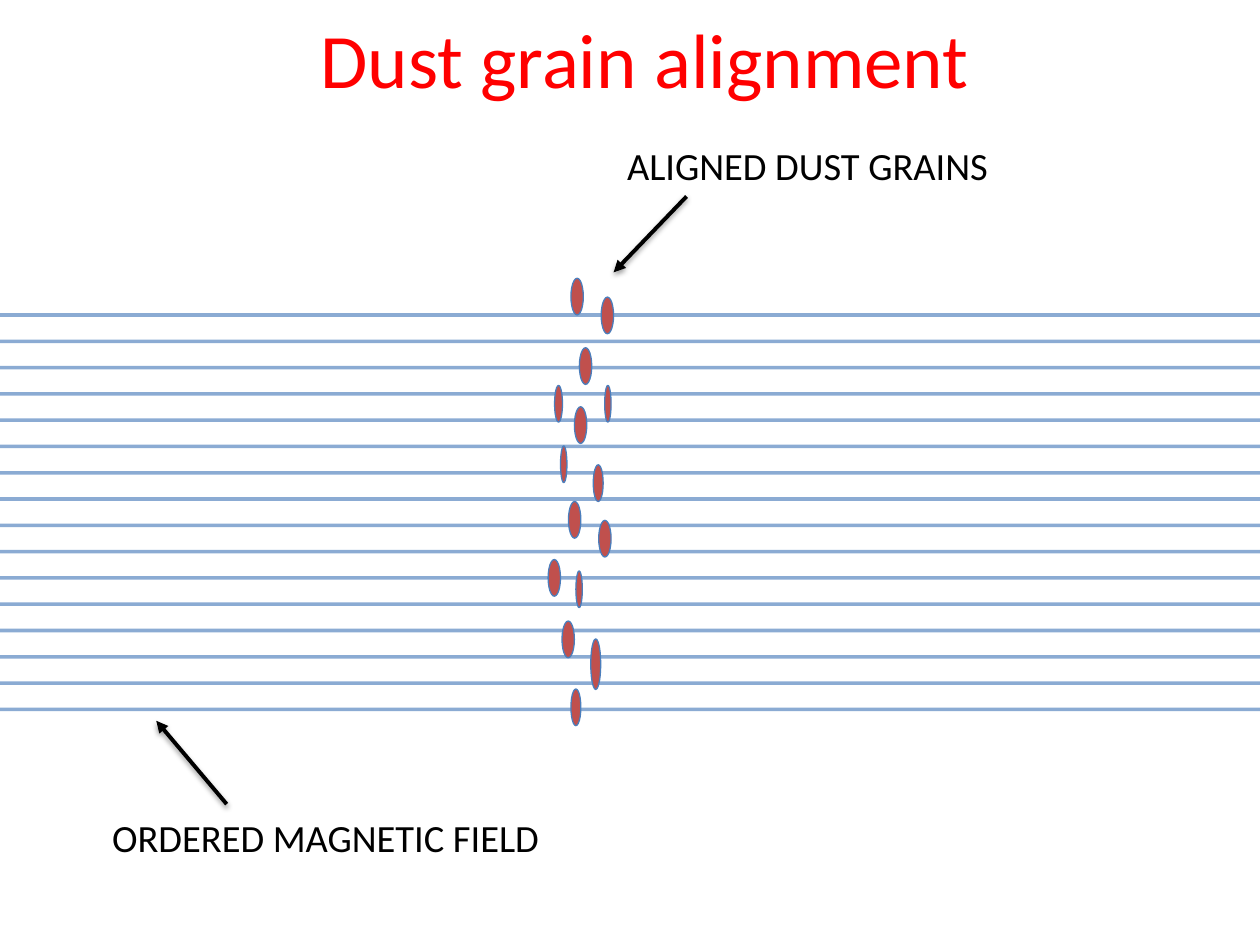
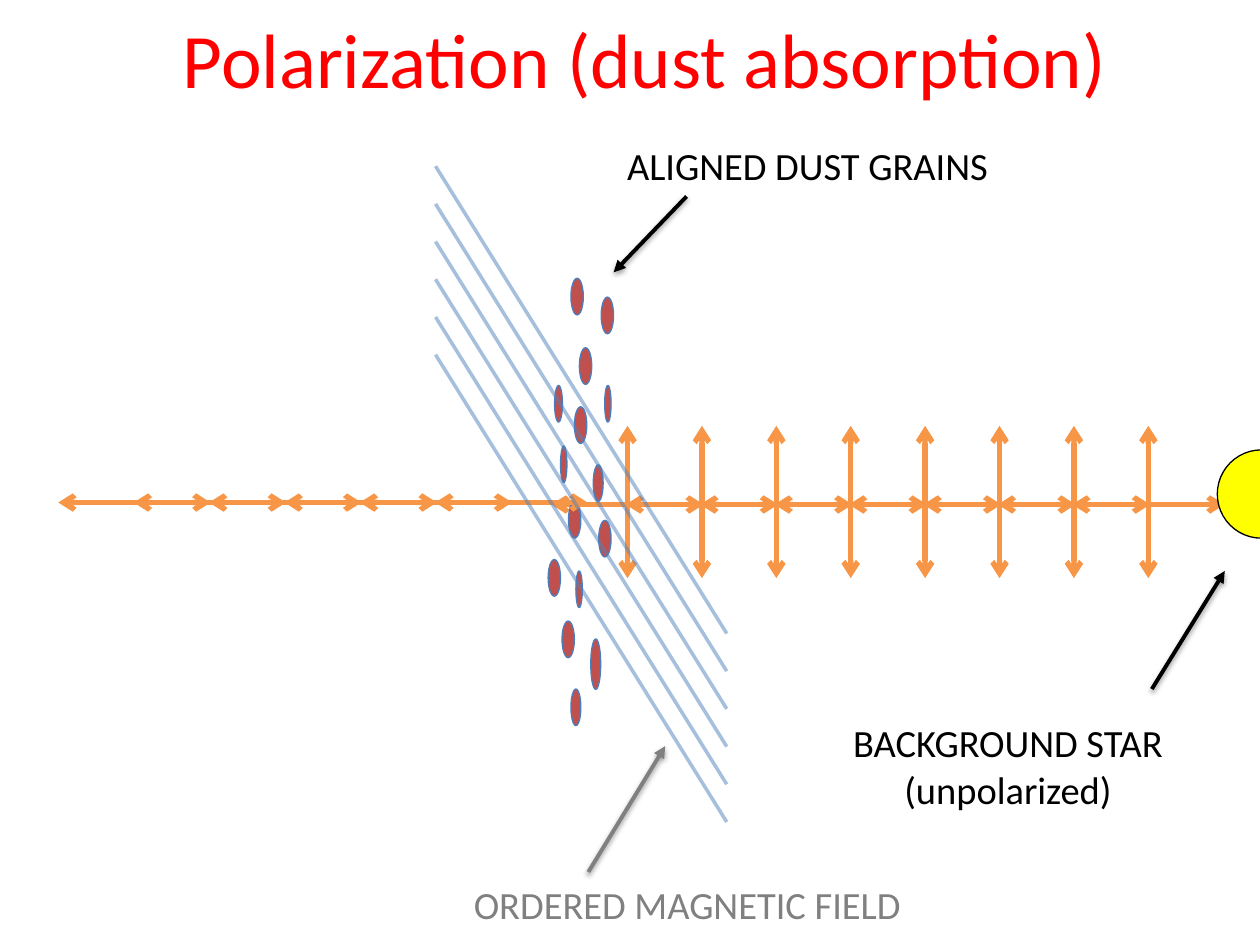
from lxml import etree
from pptx import Presentation
from pptx import util as u
from pptx.dml.color import RGBColor
from pptx.enum import shapes, text
from pptx.oxml import ns

# Shared look (lengths in cm, text sizes and line widths in points)
COLORS = {"title": "FF0000", "ink": "000000", "muted": "808080", "field": "4F81BD",
          "grain": "C0504D", "grain_edge": "4B7EBC", "wave": "F79646", "star": "FFFF00"}
FONT = "Calibri"
SLIDE_W, SLIDE_H = 25.4, 19.05
TITLE_BOX = (1.57, -0.43, 22.86, 3.18)

# Dust grains: left, top, width, height
GRAIN_H = 0.74
GRAINS = [
    (11.18, 7.77, 0.16, GRAIN_H), (11.58, 8.2, 0.25, GRAIN_H), (11.96, 9.37, 0.2, GRAIN_H),
    (12.19, 7.77, 0.13, GRAIN_H), (11.3, 8.99, 0.13, GRAIN_H), (11.46, 10.11, 0.25, GRAIN_H),
    (12.07, 10.49, 0.25, GRAIN_H), (11.05, 11.28, 0.25, GRAIN_H), (11.61, 11.51, 0.13, GRAIN_H),
    (11.33, 12.52, 0.25, GRAIN_H), (11.91, 12.88, 0.2, 1.02), (11.51, 13.89, 0.2, GRAIN_H),
    (11.51, 5.61, 0.25, GRAIN_H), (12.12, 5.99, 0.25, GRAIN_H), (11.68, 7.01, 0.25, GRAIN_H),
]

# Callouts: lines of text, text box, pointer start and tip, colour
GRAIN_NOTE = (["ALIGNED DUST GRAINS"], (11.43, 2.74, 9.7, 1.19),
              (13.84, 3.96, 12.37, 5.49), "ink")
FIELD_TEXT = ["ORDERED MAGNETIC FIELD"]
FLAT_FIELD_NOTE = (FIELD_TEXT, (1.22, 16.28, 10.69, 1.19), (4.57, 16.21, 3.15, 14.53), "ink")
TILTED_FIELD_NOTE = (FIELD_TEXT, (8.51, 17.63, 10.69, 1.19),
                     (11.86, 17.58, 13.41, 15.04), "muted")
STAR_NOTE = (["BACKGROUND STAR", "(unpolarized)"], (15.47, 14.38, 9.7, 2.13),
             (23.22, 13.89, 24.69, 11.51), "ink")

# Field lines: count, first line, vertical step, opacity in percent
FLAT_FIELD = (16, (0, 6.35, SLIDE_W, 6.35), 0.53, 65)
TILTED_FIELD = (6, (8.78, 3.35, 14.65, 12.77), 0.76, 49)

# Light waves: count, first centre, horizontal step
WAVE_LEN = 3.07
UNPOLARIZED = (8, 12.65, 1.5)
POLARIZED = (6, 2.71, 1.52)
CROSS_Y, AXIS_Y, POLARIZED_Y = 10.12, 10.17, 10.13
STAR = (24.54, 9.07, 1.78, 1.78)


def rgb(name):
    return RGBColor.from_string(COLORS[name])


def add_text(s, lines, box, size, color, **frame):
    tf = s.shapes.add_textbox(*map(u.Cm, box)).text_frame
    for name, value in {"word_wrap": True, **frame}.items():
        setattr(tf, name, value)
    for i, line in enumerate(lines):
        p = tf.paragraphs[0] if i == 0 else tf.add_paragraph()
        p.alignment = text.PP_ALIGN.CENTER
        r = p.add_run()
        r.text = line
        for name, value in {"name": FONT, "size": u.Pt(size)}.items():
            setattr(r.font, name, value)
        r.font.color.rgb = rgb(color)


def add_ellipse(s, box, fill, edge):
    sp = s.shapes.add_shape(shapes.MSO_SHAPE.OVAL, *map(u.Cm, box))
    sp.shadow.inherit = False
    sp.fill.solid()
    sp.fill.fore_color.rgb = rgb(fill)
    sp.line.color.rgb = rgb(edge)
    sp.line.width = u.Pt(0.75)


def sub(parent, tag, **attrs):
    return etree.SubElement(parent, ns.qn(tag), attrs)


def add_line(s, ends, color, width, head=None, tail=None, opacity=None, shadow=False):
    c = s.shapes.add_connector(shapes.MSO_CONNECTOR.STRAIGHT, *map(u.Cm, ends))
    c.line.color.rgb = rgb(color)
    c.line.width = u.Pt(width)
    ln = c.line._get_or_add_ln()
    if opacity:
        sub(ln.find(".//" + ns.qn("a:srgbClr")), "a:alpha", val=str(opacity * 1000))
    for tag, kind in (("a:headEnd", head), ("a:tailEnd", tail)):
        if kind:
            sub(ln, tag, type=kind)
    effects = sub(c._element.spPr, "a:effectLst")
    if shadow:
        outer = sub(effects, "a:outerShdw", blurRad=str(u.Pt(3.1)), dist=str(u.Pt(1.6)),
                    dir="5400000", rotWithShape="0")
        sub(sub(outer, "a:srgbClr", val=COLORS["ink"]), "a:alpha", val="38000")


def add_title(s, title):
    add_text(s, [title], TITLE_BOX, 44, "title", vertical_anchor=text.MSO_ANCHOR.MIDDLE)


def add_callout(s, lines, box, pointer, color):
    add_line(s, pointer, color, 2.25, tail="triangle", shadow=True)
    add_text(s, lines, box, 22, color, auto_size=text.MSO_AUTO_SIZE.SHAPE_TO_FIT_TEXT)


def add_field(s, count, first, step, opacity):
    x1, y1, x2, y2 = first
    for i in range(count):
        add_line(s, (x1, y1 + i * step, x2, y2 + i * step), "field", 2, opacity=opacity)


def add_grains(s):
    for grain in GRAINS:
        add_ellipse(s, grain, "grain", "grain_edge")


def add_wave(s, x, y, vertical=False):
    half = WAVE_LEN / 2
    dx, dy = (0, half) if vertical else (half, 0)
    add_line(s, (x - dx, y - dy, x + dx, y + dy), "wave", 3, head="arrow", tail="arrow")


def centres(count, first, step):
    return [first + i * step for i in range(count)]


def build_alignment(s):
    add_field(s, *FLAT_FIELD)
    add_title(s, "Dust grain alignment")
    add_callout(s, *GRAIN_NOTE)
    add_grains(s)
    add_callout(s, *FLAT_FIELD_NOTE)


def build_absorption(s):
    add_title(s, "Polarization (dust absorption)")
    # Unpolarized light vibrates both ways
    for x in centres(*UNPOLARIZED):
        add_wave(s, x, CROSS_Y, vertical=True)
        add_wave(s, x, AXIS_Y)
    add_callout(s, *GRAIN_NOTE)
    add_grains(s)
    add_ellipse(s, STAR, "star", "ink")
    # Only one direction is left beyond the dust
    for x in centres(*POLARIZED):
        add_wave(s, x, POLARIZED_Y)
    add_callout(s, *STAR_NOTE)
    add_field(s, *TILTED_FIELD)
    add_callout(s, *TILTED_FIELD_NOTE)


def main():
    prs = Presentation()
    prs.slide_width, prs.slide_height = u.Cm(SLIDE_W), u.Cm(SLIDE_H)
    for build in (build_alignment, build_absorption):
        build(prs.slides.add_slide(prs.slide_layouts[6]))
    prs.save("out.pptx")


if __name__ == "__main__":
    main()
